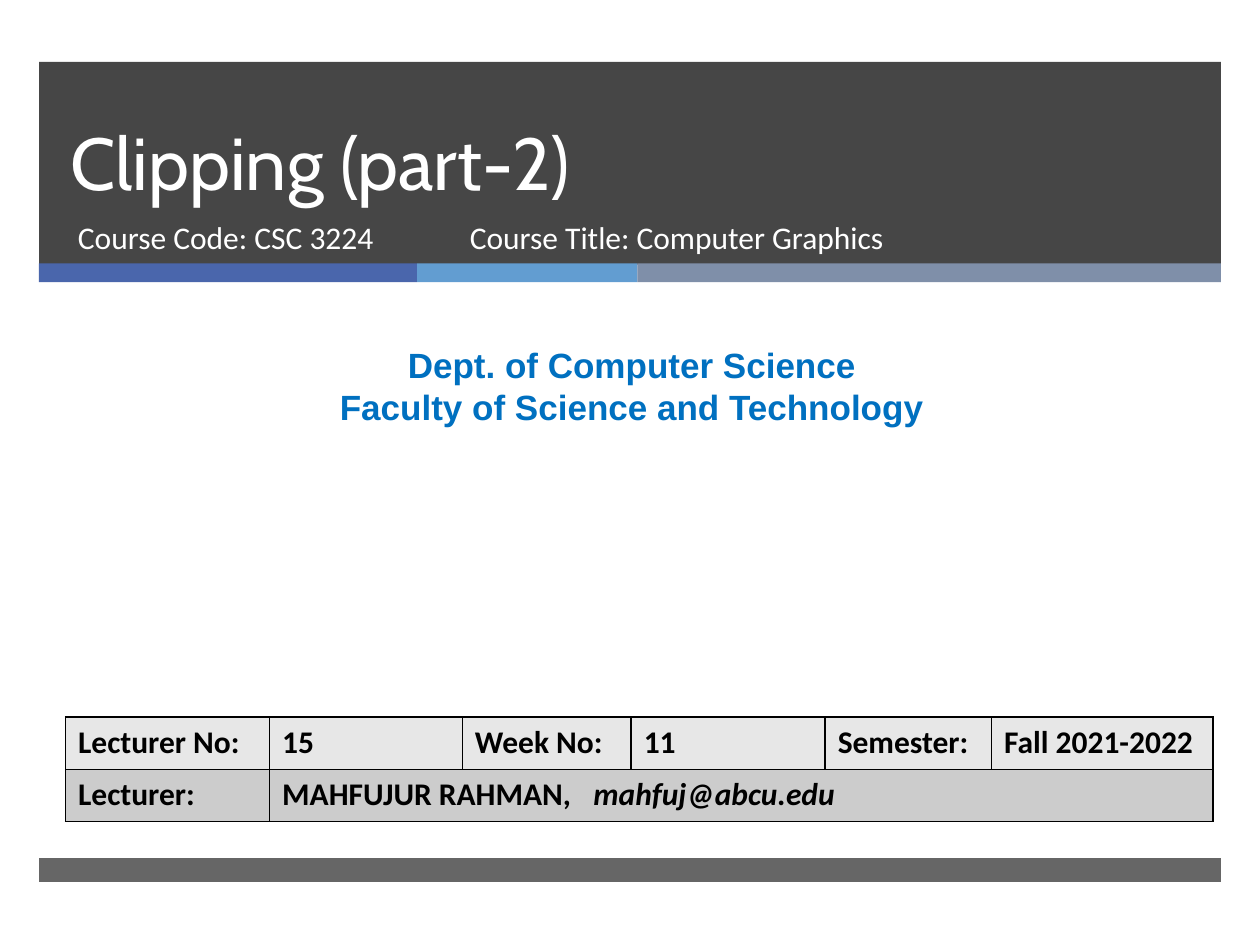
"""Build the title slide of a lecture on clipping."""
from lxml.etree import SubElement as Sub
from pptx import Presentation
from pptx.dml.color import RGBColor
from pptx.enum.shapes import MSO_SHAPE as Shape
from pptx.enum.text import MSO_ANCHOR as Anchor, PP_ALIGN as Align
from pptx.oxml.ns import qn
from pptx.util import Inches, Pt

DARK = RGBColor(0x26, 0x26, 0x26)
BLUE = RGBColor(0x4A, 0x66, 0xAC)
SKY = RGBColor(0x62, 0x9D, 0xD1)
SLATE = RGBColor(0x7F, 0x8F, 0xA9)
DEPT = RGBColor(0x00, 0x70, 0xC0)
WHITE = RGBColor(0xFF, 0xFF, 0xFF)
BLACK = RGBColor(0, 0, 0)
LIGHT = RGBColor(0xE7, 0xE7, 0xE7)
GRAY = RGBColor(0xCC, 0xCC, 0xCC)


def write(para, text, size=18, font="Calibri", color=WHITE, bold=False, italic=False):
    run = para.add_run()
    run.text = text
    run.font.size = Pt(size)
    run.font.name = font
    run.font.color.rgb = color
    run.font.bold = bold
    run.font.italic = italic


def add_frame(left, top, width, height):
    box = slide.shapes.add_textbox(Inches(left), Inches(top), Inches(width), Inches(height))
    box.text_frame.word_wrap = True
    return box.text_frame


deck = Presentation()
deck.slide_width = Inches(10)
deck.slide_height = Inches(7.5)
slide = deck.slides.add_slide(deck.slide_layouts[6])

bands = [
    (0.31, 0.49, 9.38, 1.61, DARK, 85),
    (0.31, 2.09, 3, 0.15, BLUE, 100),
    (3.31, 2.09, 1.75, 0.15, SKY, 100),
    (5.06, 2.09, 4.63, 0.15, SLATE, 100),
    (0.31, 6.81, 9.38, 0.19, DARK, 70),
]
for left, top, width, height, color, alpha in bands:
    band = slide.shapes.add_shape(
        Shape.RECTANGLE, Inches(left), Inches(top), Inches(width), Inches(height))
    band.shadow.inherit = False
    band.line.fill.background()
    band.fill.solid()
    band.fill.fore_color.rgb = color
    if alpha < 100:
        tint = band.fill._xPr.find(qn("a:solidFill"))[0]
        Sub(tint, qn("a:alpha"), val=str(alpha * 1000))

title = add_frame(0.46, 0.49, 8.54, 1.19)
title.vertical_anchor = Anchor.BOTTOM
title.paragraphs[0].line_spacing = Pt(46)
write(title.paragraphs[0], "Clipping (part-2)", size=42, font="Cabin")

write(add_frame(0.52, 1.68, 3.05, 0.53).paragraphs[0], "Course Code: CSC 3224")
write(add_frame(3.63, 1.68, 4.55, 0.53).paragraphs[0], "Course Title: Computer Graphics")

dept = add_frame(0.08, 2.68, 9.87, 0.77)
for para, text in [
    (dept.paragraphs[0], "Dept. of Computer Science"),
    (dept.add_paragraph(), "Faculty of Science and Technology"),
]:
    para.alignment = Align.CENTER
    write(para, text, size=20, font="Arial", color=DEPT, bold=True)

grid = slide.shapes.add_table(
    2, 6, Inches(0.52), Inches(5.69), Inches(9.12), Inches(0.83)).table
for col, width in zip(grid.columns, [1.62, 1.53, 1.34, 1.54, 1.32, 1.76]):
    col.width = Inches(width)

rows = [
    ["Lecturer No:", "15", "Week No:", "11", "Semester:", "Fall 2021-2022"],
    ["Lecturer:", "MAHFUJUR RAHMAN,", "", "", "", ""],
]
for r, (row, fill) in enumerate(zip(rows, [LIGHT, GRAY])):
    grid.rows[r].height = Inches(0.415)
    for c, text in enumerate(row):
        cell = grid.cell(r, c)
        props = cell._tc.get_or_add_tcPr()
        for side in ["lnL", "lnR", "lnT", "lnB"]:
            line = Sub(props, qn("a:" + side), w=str(Pt(1)))
            Sub(Sub(line, qn("a:solidFill")), qn("a:srgbClr"), val=str(BLACK))
        cell.fill.solid()
        cell.fill.fore_color.rgb = fill
        if text:
            write(cell.text_frame.paragraphs[0], text, color=BLACK, bold=True)

grid.cell(1, 1).merge(grid.cell(1, 5))
name = grid.cell(1, 1).text_frame.paragraphs[0]
tabs = Sub(name._p.get_or_add_pPr(), qn("a:tabLst"))
Sub(tabs, qn("a:tab"), pos=str(Inches(2.47)), algn="l")
write(name, "\tmahfuj@abcu.edu", color=BLACK, bold=True, italic=True)

deck.save("out.pptx")
